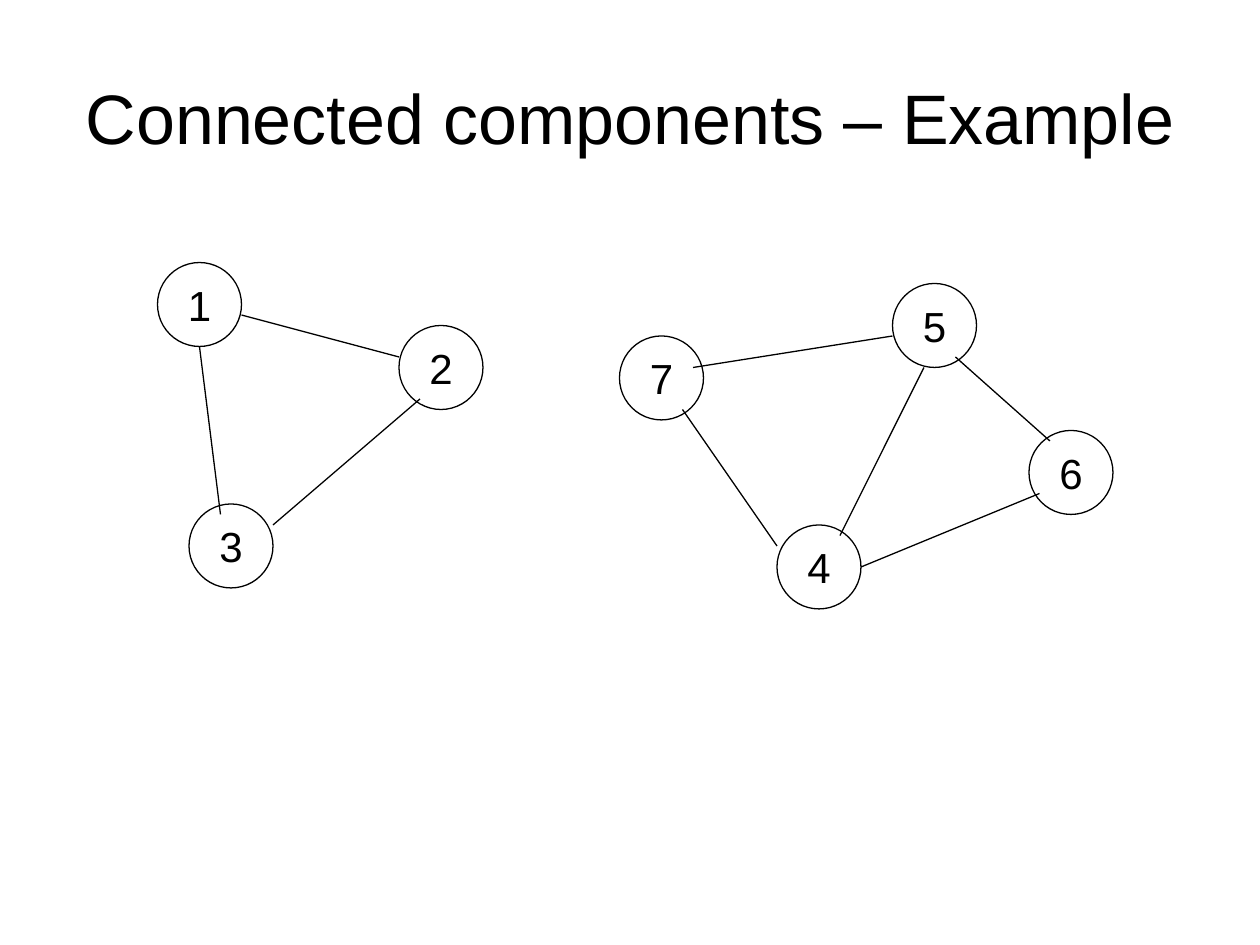
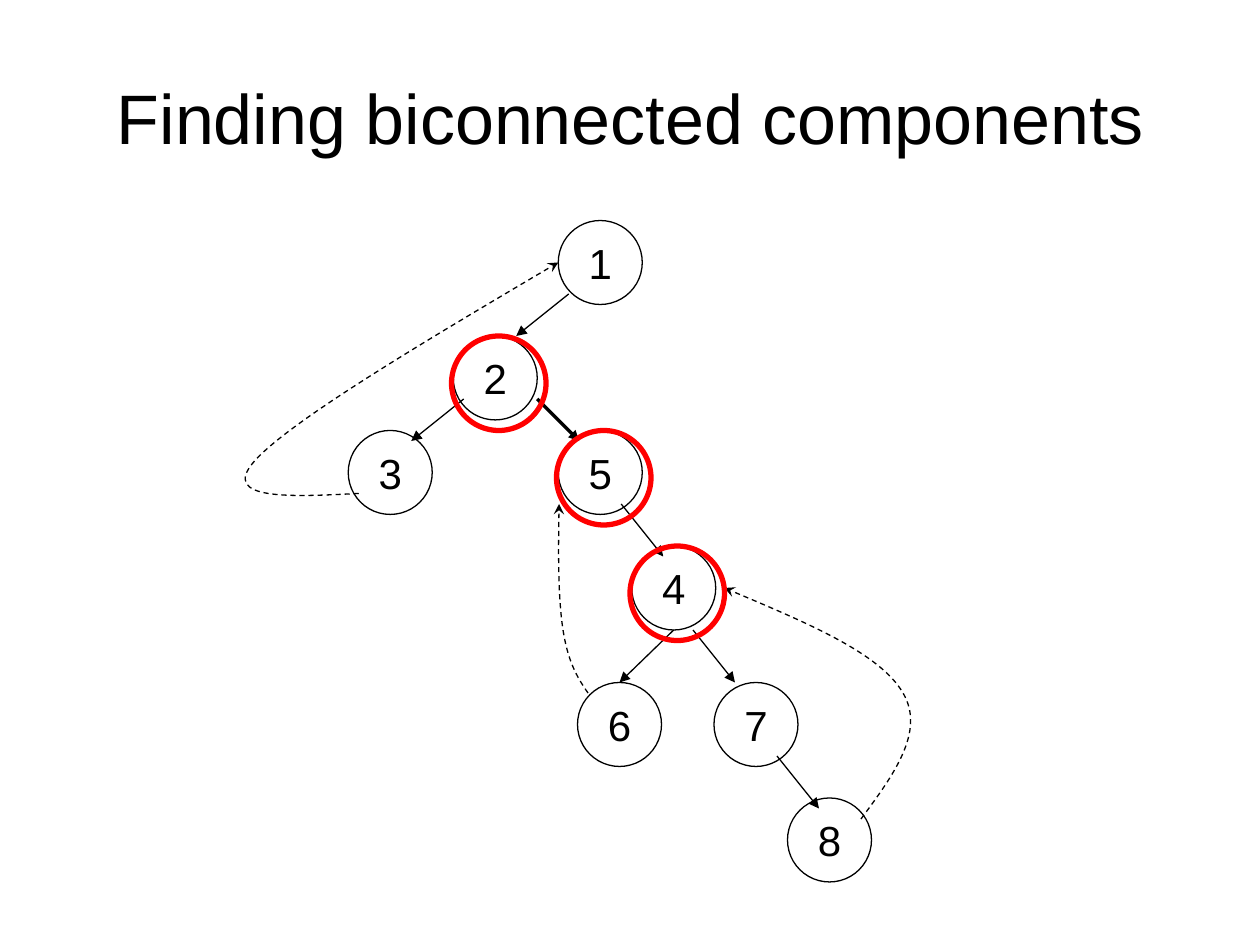
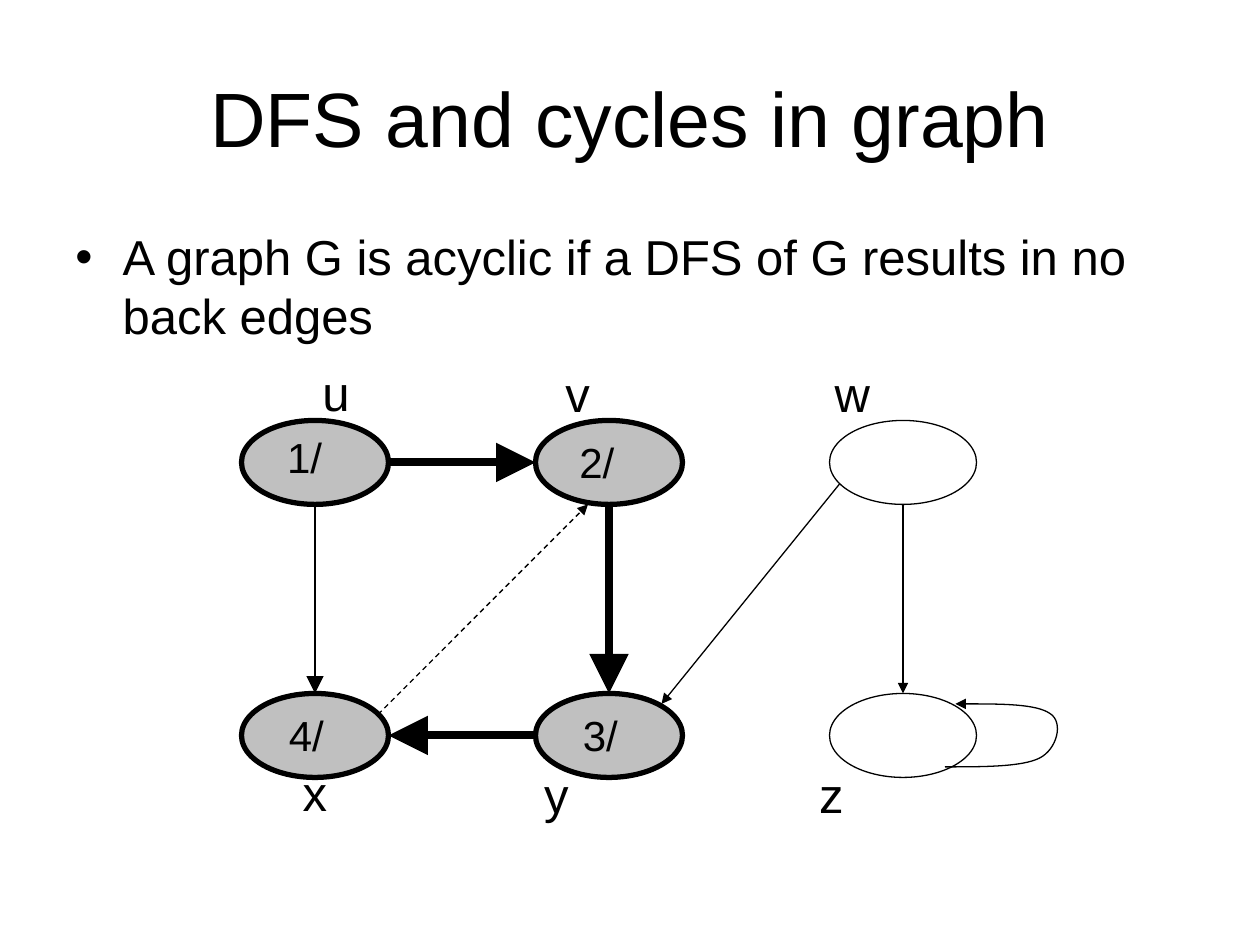
from itertools import product

from pptx import Presentation
from pptx.dml.color import RGBColor
from pptx.enum.dml import MSO_LINE
from pptx.enum.shapes import MSO_CONNECTOR, MSO_SHAPE
from pptx.enum.text import MSO_ANCHOR as Anchor, PP_ALIGN as Align
from pptx.oxml.ns import qn
from pptx.oxml.xmlchemy import OxmlElement
from pptx.util import Pt

BLACK = RGBColor(0x00, 0x00, 0x00)
RED = RGBColor(0xFF, 0x00, 0x00)
GREY = RGBColor(0xC0, 0xC0, 0xC0)
FONT = "Arial"
THIN, RING_LINE, PATH_LINE = 0.75, 3, 4.5
NODE = 48
RING = 54


def write(shape, text, size, anchor=Anchor.TOP, align=Align.CENTER, wrap=False):
    frame = shape.text_frame
    frame.text = text
    frame.word_wrap = wrap
    frame.vertical_anchor = anchor
    paragraph = frame.paragraphs[0]
    paragraph.alignment = align
    font = paragraph.runs[0].font
    font.name, font.size, font.color.rgb = FONT, Pt(size), BLACK
    return paragraph


def add_text(slide, box, text, size, **style):
    label = slide.shapes.add_textbox(*map(Pt, box))
    return write(label, text, size, **style)


def add_title(slide, text, size=40):
    add_text(slide, (36, 21.6, 648, 90), text, size, anchor=Anchor.MIDDLE, wrap=True)


def add_ellipse(slide, box, width=THIN, color=BLACK, fill=None):
    ellipse = slide.shapes.add_shape(MSO_SHAPE.OVAL, *map(Pt, box))
    ellipse.shadow.inherit = False
    if fill is None:
        ellipse.fill.background()
    else:
        ellipse.fill.solid()
        ellipse.fill.fore_color.rgb = fill
    ellipse.line.color.rgb = color
    ellipse.line.width = Pt(width)
    return ellipse


def style_edge(edge, width, head, dashed, head_size="med"):
    edge.line.color.rgb = BLACK
    edge.line.width = Pt(width)
    if dashed:
        edge.line.dash_style = MSO_LINE.DASH
    if head:
        tail_end = OxmlElement("a:tailEnd")
        for key, value in (("type", head), ("w", head_size), ("len", head_size)):
            tail_end.set(key, value)
        edge.line._get_or_add_ln().append(tail_end)


def add_edge(slide, left, top, start, end, width=THIN, head=None, dashed=False,
             head_size="med"):
    points = [Pt(offset + at) for point in (start, end)
              for offset, at in zip((left, top), point)]
    edge = slide.shapes.add_connector(MSO_CONNECTOR.STRAIGHT, *points)
    style_edge(edge, width, head, dashed, head_size)
    edge._element.spPr.append(OxmlElement("a:effectLst"))


def add_curve(slide, left, top, points, head, dashed=False):
    """Draw Bezier segments: a start, then two controls and an end for each."""
    start, *others = [(Pt(left + x), Pt(top + y)) for x, y in points]
    builder = slide.shapes.build_freeform(*start, scale=1.0)
    builder.add_line_segments(others, close=False)
    curve = builder.convert_to_shape()
    outline = next(curve._element.iter(qn("a:path")))
    segments = outline.findall(qn("a:lnTo"))
    for first in range(0, len(segments), 3):
        bezier = OxmlElement("a:cubicBezTo")
        for segment in segments[first:first + 3]:
            bezier.append(segment[0])
            outline.remove(segment)
        outline.append(bezier)
    curve.shadow.inherit = False
    curve.fill.background()
    style_edge(curve, THIN, head, dashed)


def add_graph(slide, left, top, nodes, edges, head=None):
    """Draw numbered circles and the edges, each (start, end[, width])."""
    for number, (x, y) in nodes.items():
        circle = add_ellipse(slide, (left + x, top + y, NODE, NODE))
        write(circle, str(number), 24, anchor=Anchor.MIDDLE)
    for edge in edges:
        add_edge(slide, left, top, *edge, head=head)


def connected_components(slide):
    add_title(slide, "Connected components – Example")
    add_graph(slide, 90, 150,
              {1: (0, 0), 2: (138, 36), 3: (18, 138)},
              [((24, 48), (36, 144)),
               ((48, 30), (138, 54)),
               ((66, 150), (150, 78))])
    add_graph(slide, 354, 162,
              {4: (90, 138), 5: (156, 0), 6: (234, 84), 7: (0, 30)},
              [((42, 48), (156, 30)),
               ((36, 72), (90, 150)),
               ((192, 42), (246, 90)),
               ((174, 48), (126, 144)),
               ((138, 162), (240, 120))])


def add_dfs_tree(slide, left, top):
    add_graph(slide, left, top,
              {1: (193, 0), 2: (133, 66), 3: (73, 120), 4: (235, 186),
               5: (193, 120), 6: (204, 264), 7: (282, 264), 8: (324, 330)},
              [((199, 42), (169, 66)),
               ((139, 102), (109, 126)),
               ((181, 102), (205, 126), 2),
               ((229, 162), (253, 192)),
               ((259, 234), (228, 264)),
               ((270, 234), (294, 264)),
               ((318, 306), (342, 336))],
              head="triangle")
    back_edges = [
        [(79, 156), (40, 158), (0, 160), (19, 138),
         (38, 116), (115, 70), (193, 24)],
        [(210, 270), (204.5, 262), (199, 253.5), (196, 235.5),
         (193, 217.5), (193, 190), (193.5, 162)],
        [(366, 342), (384.5, 317), (403, 292), (390, 270),
         (377, 247.5), (333, 229), (288, 210)],
    ]
    for points in back_edges:
        add_curve(slide, left, top, points, head="stealth", dashed=True)
    for x, y in [(132, 66), (192, 120), (234, 186)]:
        add_ellipse(slide, (left + x, top + y, RING, RING), RING_LINE, RED)


def biconnected_components(slide):
    add_title(slide, "Finding biconnected components")
    add_dfs_tree(slide, 126, 126)


def add_bullet(slide, box, text):
    paragraph = add_text(slide, box, text, 28, align=Align.LEFT, wrap=True)
    paragraph.space_before = Pt(7)
    properties = paragraph._p.get_or_add_pPr()
    properties.set("marL", str(Pt(27)))
    properties.set("indent", str(-Pt(27)))
    for tag, key, value in (("a:buFont", "typeface", FONT), ("a:buChar", "char", "•")):
        bullet_part = OxmlElement(tag)
        bullet_part.set(key, value)
        properties.append(bullet_part)


def add_cycle_graph(slide, left, top):
    width, height, column_step, row_step = 84, 48, 168, 156
    for row, column in product(range(2), range(3)):
        visited = column < 2
        add_ellipse(slide,
                    (left + column * column_step, top + row * row_step, width, height),
                    RING_LINE if visited else THIN,
                    fill=GREY if visited else None)

    middles = [column * column_step + width / 2 for column in range(3)]
    upper, lower = height / 2, row_step + height / 2
    edges = [
        ((middles[0], height), (middles[0], row_step), THIN, "lg"),
        ((middles[1], height), (middles[1], row_step), PATH_LINE, "lg"),
        ((middles[2], height), (middles[2], row_step), THIN, "med"),
        ((width, upper), (column_step, upper), PATH_LINE, "lg"),
        ((column_step, lower), (width, lower), PATH_LINE, "lg"),
        ((342, 36), (240, 162), THIN, "med"),
    ]
    for start, end, line, head_size in edges:
        add_edge(slide, left, top, start, end, line, "triangle", head_size=head_size)
    add_edge(slide, left, top, (78, 168), (198, 48), head="triangle", dashed=True)
    add_curve(slide, left, top,
              [(402, 198), (424, 198), (446, 198), (456, 193),
               (466, 188), (470, 172.5), (462, 167.5),
               (454, 162), (431, 162), (408, 162)],
              head="triangle")

    names = {"u": (54, -36.75), "v": (192, -36), "w": (349, -36),
             "x": (42, 191.75), "y": (180, 193.25), "z": (337, 193.25)}
    times = {"1/": (36, 2.75), "2/": (203, 5.75), "3/": (205, 161.75), "4/": (37, 161.75)}
    for labels, size, box_width, box_height in [(names, 28, 36, 41), (times, 24, 40, 36)]:
        for text, (center, y) in labels.items():
            box = (left + center - box_width / 2, top + y, box_width, box_height)
            add_text(slide, box, text, size)


def cycles_in_graph(slide):
    add_title(slide, "DFS and cycles in graph", 44)
    add_bullet(slide, (36, 126, 648, 356),
               "A graph G is acyclic if a DFS of G results in no back edges")
    add_cycle_graph(slide, 138, 240.25)


def main():
    deck = Presentation()
    deck.slide_width, deck.slide_height = Pt(720), Pt(540)
    blank = deck.slide_layouts[6]
    for fill_slide in (connected_components, biconnected_components, cycles_in_graph):
        fill_slide(deck.slides.add_slide(blank))
    deck.save("out.pptx")


if __name__ == "__main__":
    main()
